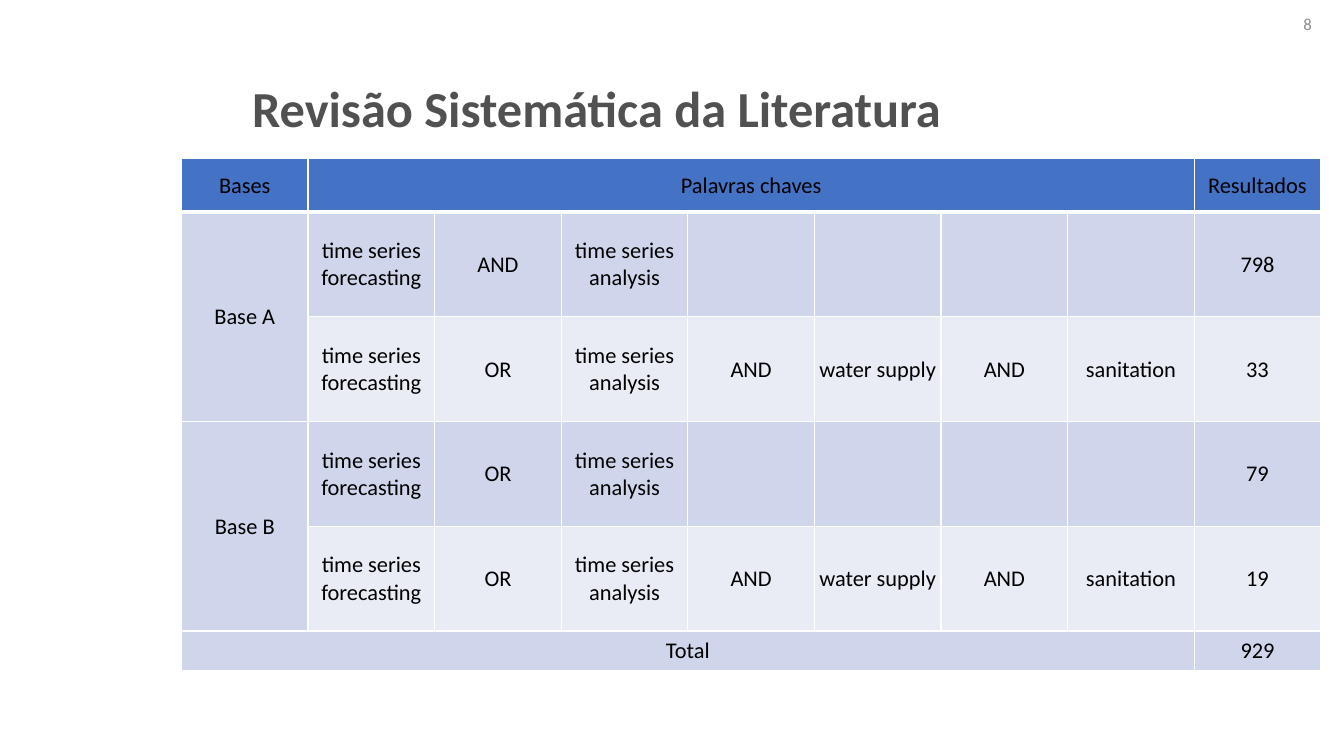
from dataclasses import dataclass

from lxml.etree import SubElement
from pptx import Presentation
from pptx.dml.color import RGBColor
from pptx.enum.text import MSO_ANCHOR as Anchor, MSO_AUTO_SIZE as AutoSize, PP_ALIGN as Align
from pptx.oxml.ns import qn
from pptx.table import Table, _Cell as Cell
from pptx.text.text import TextFrame
from pptx.util import Inches, Pt

COLORS = {
    "title": "515151",
    "number": "8C8C8C",
    "text": "000000",
    "header": "4472C4",
    "dark_band": "CFD5EA",
    "light_band": "E9EBF5",
    "border": "FFFFFF",
}
FONT = "Calibri"
COLUMN_COUNT = 9
TABLE_WIDTH = 11.3
THIN, THICK = 1, 3


@dataclass
class SearchRow:
    cells: list[str]
    height: float
    fill: str


@dataclass
class Span:
    row: int
    column: int
    last_row: int
    last_column: int


FORECASTING, ANALYSIS = "time series forecasting", "time series analysis"
WATER_TERMS = ["AND", "water supply", "AND", "sanitation"]
NO_TERMS = [""] * len(WATER_TERMS)


def search(base: str, operator: str, terms: list[str], result: str, fill: str) -> SearchRow:
    return SearchRow([base, FORECASTING, operator, ANALYSIS, *terms, result], 1.04, fill)


ROWS = [
    SearchRow(["Bases", "Palavras chaves", *[""] * 6, "Resultados"], 0.53, "header"),
    search("Base A", "AND", NO_TERMS, "798", "dark_band"),
    search("", "OR", WATER_TERMS, "33", "light_band"),
    search("Base B", "OR", NO_TERMS, "79", "dark_band"),
    search("", "OR", WATER_TERMS, "19", "light_band"),
    SearchRow(["Total", *[""] * 7, "929"], 0.39, "dark_band"),
]
SPANS = [Span(0, 1, 0, 7), Span(1, 0, 2, 0), Span(3, 0, 4, 0), Span(5, 0, 5, 7)]


def write_text(frame: TextFrame, text: str, *, size: float, color: str,
               align: Align = Align.LEFT, bold: bool = False,
               line_spacing: float = 1.0) -> None:
    paragraph = frame.paragraphs[0]
    paragraph.alignment = align
    paragraph.line_spacing = line_spacing
    run = paragraph.add_run()
    run.text = text
    run.font.name = FONT
    run.font.size = Pt(size)
    run.font.bold = bold
    run.font.color.rgb = RGBColor.from_string(COLORS[color])


def add_borders(cell: Cell, top: int, bottom: int) -> None:
    properties = cell._tc.get_or_add_tcPr()
    for side, width in {"lnL": THIN, "lnR": THIN, "lnT": top, "lnB": bottom}.items():
        line = SubElement(properties, qn(f"a:{side}"), w=str(Pt(width)))
        fill = SubElement(line, qn("a:solidFill"))
        SubElement(fill, qn("a:srgbClr"), val=COLORS["border"])


def fill_table(table: Table) -> None:
    table.first_row = False
    table.horz_banding = False
    for column in table.columns:
        column.width = Inches(TABLE_WIDTH / COLUMN_COUNT)
    for row_index, search_row in enumerate(ROWS):
        table.rows[row_index].height = Inches(search_row.height)
        for column_index, text in enumerate(search_row.cells):
            cell = table.cell(row_index, column_index)
            cell.margin_left = cell.margin_right = cell.margin_top = Inches(0.01)
            cell.margin_bottom = 0
            cell.vertical_anchor = Anchor.MIDDLE
            add_borders(cell, THICK if row_index == 1 else THIN,
                        THICK if row_index == 0 else THIN)
            cell.fill.solid()
            cell.fill.fore_color.rgb = RGBColor.from_string(COLORS[search_row.fill])
            if text:
                write_text(cell.text_frame, text, size=16, color="text", align=Align.CENTER)
    for span in SPANS:
        table.cell(span.row, span.column).merge(table.cell(span.last_row, span.last_column))


def main() -> None:
    presentation = Presentation()
    presentation.slide_width, presentation.slide_height = Inches(13.33), Inches(7.5)
    slide = presentation.slides.add_slide(presentation.slide_layouts[5])

    title = slide.shapes.title
    title.left, title.top = Inches(2.5), Inches(0.63)
    title.width, title.height = Inches(8.34), Inches(0.73)
    frame = title.text_frame
    frame.margin_left = frame.margin_right = frame.margin_top = frame.margin_bottom = 0
    frame.vertical_anchor = Anchor.BOTTOM
    frame.auto_size = AutoSize.NONE
    write_text(frame, "Revisão Sistemática da Literatura", size=36, color="title",
               bold=True, line_spacing=0.8)

    number = slide.shapes.add_textbox(Inches(10.11), Inches(0.04), Inches(3), Inches(0.4))
    number.text_frame.word_wrap = True
    number.text_frame.vertical_anchor = Anchor.MIDDLE
    write_text(number.text_frame, "8", size=12, color="number", align=Align.RIGHT)

    table_height = sum(row.height for row in ROWS)
    table_frame = slide.shapes.add_table(len(ROWS), COLUMN_COUNT, Inches(1.8), Inches(1.57),
                                         Inches(TABLE_WIDTH), Inches(table_height))
    fill_table(table_frame.table)
    presentation.save("out.pptx")


if __name__ == "__main__":
    main()
